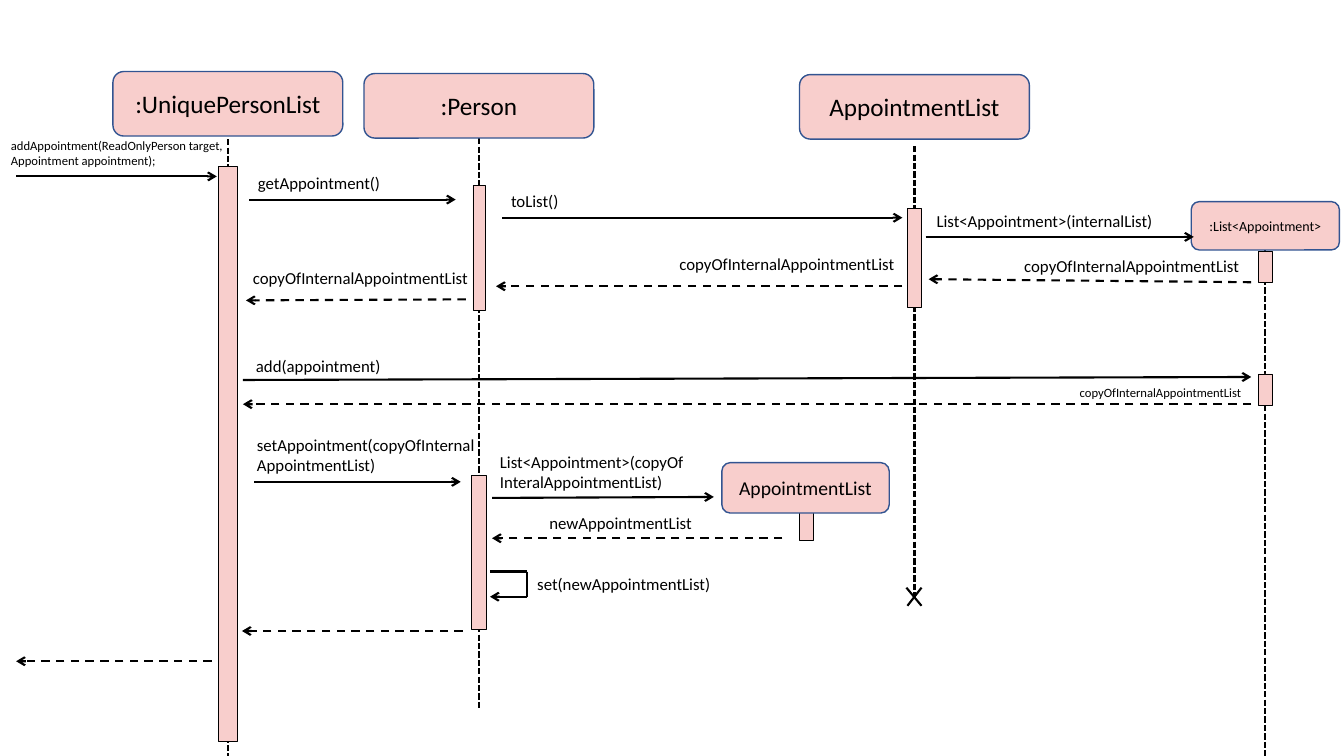
from lxml import etree
from pptx import Presentation
from pptx.dml.color import RGBColor
from pptx.enum import dml, shapes, text
from pptx.oxml import ns
from pptx.util import Inches, Pt

PINK = RGBColor(0xF8, 0xCE, 0xCC)
BLUE = RGBColor(0x32, 0x54, 0x91)
BLACK = RGBColor(0, 0, 0)
FONT = "Calibri"
WIDTH, HEIGHT = 13.33, 7.5
LABEL_WIDTH = 2.42

# Columns: centre of each participant
EDGE, UNIQUE, PERSON, NEW_LIST, APPTS, ITEMS = 0.16, 2.26, 4.75, 8.0, 9.07, 12.55
DESTROYED = 5.92

# Lifelines: column, top, bottom
LIFELINES = [
    (APPTS, 1.45, DESTROYED),
    (ITEMS, 2.35, HEIGHT),
    (PERSON, 0.87, 7.02),
    (UNIQUE, 1.38, HEIGHT),
]

# Activation bars: column, top, width, height
BARS = [
    (UNIQUE, 1.65, 0.18, 5.71),
    (PERSON, 1.84, 0.12, 1.24),
    (PERSON, 4.72, 0.14, 1.52),
    (APPTS, 2.07, 0.14, 0.98),
    (NEW_LIST, 5.05, 0.14, 0.31),
    (ITEMS, 2.49, 0.14, 0.31),
    (ITEMS, 3.71, 0.14, 0.31),
]

# Participants: name, centre, top, width, height, size
HEADS = [
    (":UniquePersonList", UNIQUE, 0.71, 2.28, 0.64, 18),
    (":Person", PERSON, 0.73, 2.28, 0.64, 18),
    ("AppointmentList", APPTS, 0.74, 2.28, 0.64, 18),
    (":List<Appointment>", ITEMS, 2.0, 1.47, 0.48, 10),
    ("AppointmentList", NEW_LIST - 0.01, 4.59, 1.66, 0.5, 14),
]

# Arrows: start x, start y, end x, end y
CALLS = [
    (EDGE, 1.75, UNIQUE - 0.11, 1.75),
    (UNIQUE + 0.21, 1.98, PERSON - 0.23, 1.98),
    (PERSON + 0.23, 2.16, APPTS - 0.12, 2.16),
    (APPTS + 0.11, 2.35, ITEMS - 0.71, 2.35),
    (UNIQUE + 0.15, 3.77, ITEMS - 0.14, 3.74),
    (UNIQUE + 0.26, 4.78, PERSON - 0.18, 4.78),
    (PERSON + 0.13, 4.94, NEW_LIST - 0.92, 4.93),
    (PERSON + 0.48, 5.92, PERSON + 0.11, 5.92),
]
RETURNS = [
    (ITEMS - 0.14, 2.8, APPTS + 0.14, 2.77),
    (APPTS - 0.12, 2.84, PERSON + 0.17, 2.84),
    (PERSON - 0.13, 2.97, UNIQUE + 0.18, 2.98),
    (ITEMS - 0.14, 4.01, UNIQUE + 0.15, 4.01),
    (NEW_LIST - 0.24, 5.34, PERSON + 0.13, 5.34),
    (PERSON - 0.16, 6.26, UNIQUE + 0.14, 6.26),
    (UNIQUE - 0.16, 6.56, EDGE, 6.56),
]
PLAIN_LINES = [
    # Self call
    (PERSON + 0.11, 5.67, PERSON + 0.48, 5.67),
    (PERSON + 0.48, 5.67, PERSON + 0.48, 5.92),
    # Destruction cross
    (APPTS - 0.08, DESTROYED - 0.09, APPTS + 0.07, DESTROYED + 0.09),
    (APPTS + 0.07, DESTROYED - 0.09, APPTS - 0.07, DESTROYED + 0.09),
]

# Labels: paragraphs, left, top, height, size
COPY = "copyOfInternalAppointmentList"
LABELS = [
    (["addAppointment(ReadOnlyPerson target,", "Appointment appointment);"], 0.01, 1.32, 0.4, 9),
    (["getAppointment()"], 2.46, 1.66, 0.3, 12),
    (["toList()"], 4.97, 1.84, 0.3, 12),
    (["List<Appointment>(internalList)"], 9.19, 2.04, 0.3, 12),
    ([COPY], 10.06, 2.49, 0.3, 12),
    ([COPY], 6.64, 2.47, 0.3, 12),
    ([COPY], 2.41, 2.61, 0.3, 12),
    (["add(appointment)"], 2.44, 3.48, 0.3, 12),
    ([COPY], 10.61, 3.77, 0.25, 9),
    (["setAppointment(copyOfInternalAppointmentList)"], 2.45, 4.26, 0.5, 12),
    (["List<Appointment>(copyOf", "InteralAppointmentList)"], 4.86, 4.43, 0.5, 12),
    (["newAppointmentList"], 5.35, 5.04, 0.3, 12),
    (["set(newAppointmentList)"], 5.23, 5.64, 0.3, 12),
]

prs = Presentation()
prs.slide_width, prs.slide_height = Inches(WIDTH), Inches(HEIGHT)
slide = prs.slides.add_slide(prs.slide_layouts[6])


def write(tf, paragraphs, size, align):
    tf.word_wrap = True
    for i, line in enumerate(paragraphs):
        p = tf.paragraphs[0] if i == 0 else tf.add_paragraph()
        p.alignment = align
        r = p.add_run()
        r.text = line
        for name, value in {"name": FONT, "size": Pt(size)}.items():
            setattr(r.font, name, value)
        r.font.color.rgb = BLACK


def add_box(kind, centre, top, width, height, color, weight):
    sp = slide.shapes.add_shape(
        kind, *map(Inches, (centre - width / 2, top, width, height)))
    sp.shadow.inherit = False
    sp.fill.solid()
    sp.fill.fore_color.rgb = PINK
    sp.line.color.rgb = color
    sp.line.width = Pt(weight)
    return sp


def add_line(ends, dash=None, arrow=False):
    line = slide.shapes.add_connector(
        shapes.MSO_CONNECTOR.STRAIGHT, *map(Inches, ends))
    line.line.color.rgb = BLACK
    line.line.width = Pt(1.5)
    if dash:
        line.line.dash_style = dash
    if arrow:
        etree.SubElement(line.line._get_or_add_ln(), ns.qn("a:tailEnd"), type="arrow")
    etree.SubElement(line._element.spPr, ns.qn("a:effectLst"))


# Lifelines and activation bars
for x, top, bottom in LIFELINES:
    add_line((x, top, x, bottom), dml.MSO_LINE.SQUARE_DOT)
for bar in BARS:
    add_box(shapes.MSO_SHAPE.RECTANGLE, *bar, BLACK, 0.5)

# Participants
for name, *place, size in HEADS:
    sp = add_box(shapes.MSO_SHAPE.ROUNDED_RECTANGLE, *place, BLUE, 1)
    sp.text_frame.vertical_anchor = text.MSO_ANCHOR.MIDDLE
    write(sp.text_frame, [name], size, text.PP_ALIGN.CENTER)

# Messages
for ends in CALLS:
    add_line(ends, arrow=True)
for ends in RETURNS:
    add_line(ends, dml.MSO_LINE.DASH, arrow=True)
for ends in PLAIN_LINES:
    add_line(ends)

# Message labels
for paragraphs, left, top, height, size in LABELS:
    label = slide.shapes.add_textbox(*map(Inches, (left, top, LABEL_WIDTH, height)))
    write(label.text_frame, paragraphs, size, text.PP_ALIGN.LEFT)

prs.save("out.pptx")
